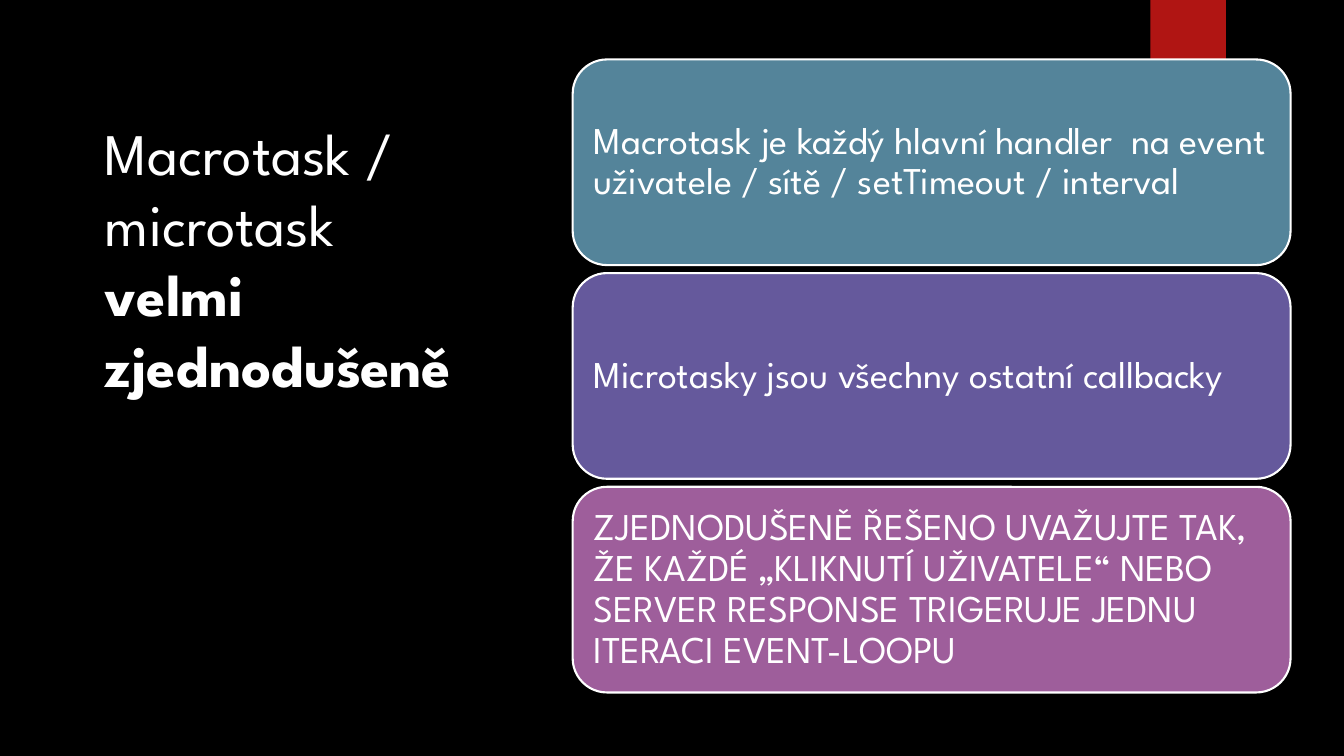
from pptx import Presentation
from pptx.dml.color import RGBColor
from pptx.enum.shapes import MSO_SHAPE
from pptx.enum.text import MSO_ANCHOR, MSO_AUTO_SIZE, PP_ALIGN
from pptx.util import Pt

PX = 9144
FONT = "League Spartan"
COLORS = {
    "background": "000000",
    "text": "FFFFFF",
    "tab": "B01513",
    "macrotask": "54849A",
    "microtask": "65599C",
    "summary": "9E5E9B",
}
CARDS = [
    ("macrotask", "Macrotask je každý hlavní handler  na event uživatele / sítě / setTimeout / interval"),
    ("microtask", "Microtasky jsou všechny ostatní callbacky"),
    ("summary", "ZJEDNODUŠENĚ ŘEŠENO UVAŽUJTE TAK, ŽE KAŽDÉ „KLIKNUTÍ UŽIVATELE“ NEBO "
                "SERVER RESPONSE TRIGERUJE JEDNU ITERACI EVENT-LOOPU"),
]
CARD_TOP, CARD_HEIGHT, CARD_PITCH = 59, 204, 212


def color(name):
    return RGBColor.from_string(COLORS[name])


def add_box(s, kind, x, y, w, h, fill):
    sp = s.shapes.add_shape(kind, x * PX, y * PX, w * PX, h * PX)
    sp.shadow.inherit = False
    sp.fill.solid()
    sp.fill.fore_color.rgb = color(fill)
    return sp


prs = Presentation()
prs.slide_width = 1333 * PX
prs.slide_height = 750 * PX
s = prs.slides.add_slide(prs.slide_layouts[5])
s.background.fill.solid()
s.background.fill.fore_color.rgb = color("background")

tab = add_box(s, MSO_SHAPE.RECTANGLE, 1141, 0, 75, 125, "tab")
tab.line.fill.background()

title = s.shapes.title
title.left, title.top, title.width, title.height = 94 * PX, 111 * PX, 374 * PX, 524 * PX
tf = title.text_frame
tf.word_wrap = True
tf.auto_size = MSO_AUTO_SIZE.NONE
tf.vertical_anchor = MSO_ANCHOR.TOP
p = tf.paragraphs[0]
p.alignment = PP_ALIGN.LEFT
p.font.name = FONT
p.font.size = Pt(42)
p.font.color.rgb = color("text")
for text, bold in [("Macrotask / microtask ", False), ("velmi zjednodušeně", True)]:
    r = p.add_run()
    r.text = text
    r.font.name = FONT
    r.font.size = Pt(42)
    r.font.color.rgb = color("text")
    r.font.bold = bold

for i, (fill, text) in enumerate(CARDS):
    card = add_box(s, MSO_SHAPE.ROUNDED_RECTANGLE, 568, CARD_TOP + i * CARD_PITCH, 712, CARD_HEIGHT, fill)
    card.line.color.rgb = color("text")
    card.line.width = Pt(1.5)
    tf = card.text_frame
    tf.word_wrap = True
    tf.vertical_anchor = MSO_ANCHOR.MIDDLE
    tf.margin_left = tf.margin_right = tf.margin_top = tf.margin_bottom = 11 * PX
    p = tf.paragraphs[0]
    p.text = text
    p.alignment = PP_ALIGN.LEFT
    p.line_spacing = 0.9
    p.font.name = FONT
    p.font.size = Pt(27)
    p.font.color.rgb = color("text")

prs.save("out.pptx")
